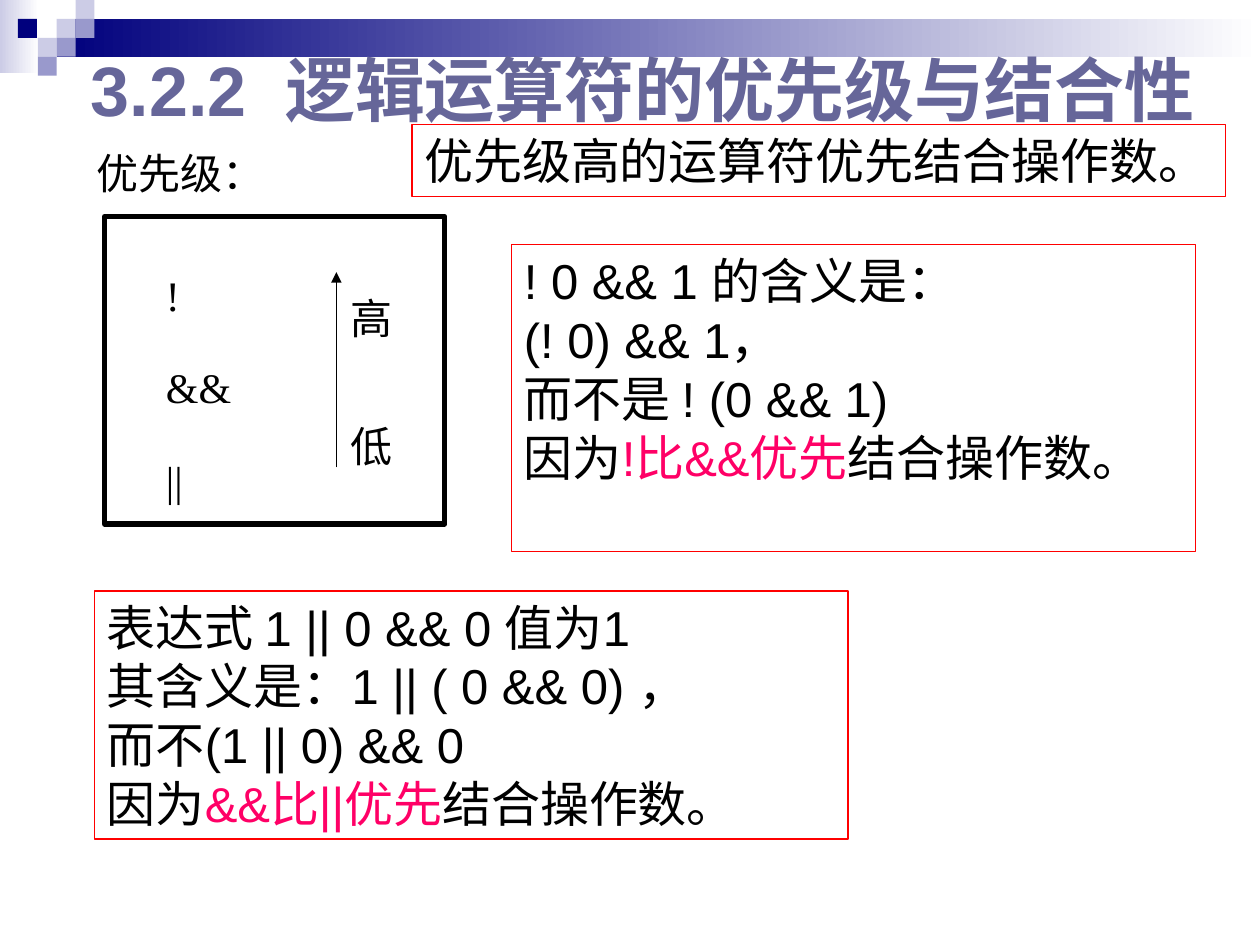
from typing import NamedTuple

from lxml import etree
from pptx import Presentation
from pptx import util as u
from pptx.dml.color import RGBColor
from pptx.enum import shapes, text
from pptx.oxml import ns

NAVY = RGBColor(0x00, 0x00, 0x7D)
LILAC = RGBColor(0xCC, 0xCC, 0xE6)
VIOLET = RGBColor(0x99, 0x99, 0xCC)
TITLE_COLOR = RGBColor(0x66, 0x66, 0x99)
WHITE = RGBColor(0xFF, 0xFF, 0xFF)
BLACK = RGBColor(0x00, 0x00, 0x00)
RED = RGBColor(0xFF, 0x00, 0x00)
PINK = RGBColor(0xFF, 0x00, 0x66)

UNIT = 10.8  # side of a corner square, in points


class Area(NamedTuple):
    left: float
    top: float
    width: float
    height: float


class Span(NamedTuple):
    words: str
    color: RGBColor = BLACK


class Label(NamedTuple):
    area: Area
    lines: list[str]
    wrap: bool = False
    gap: float = 0


class Callout(NamedTuple):
    area: Area
    lines: list[list[Span]]


BANDS = [
    (Area(0, 0, 22.3, 41.8), LILAC),
    (Area(3 * UNIT, UNIT, 687.6, 2 * UNIT), NAVY),
]

# Left and top in units
SQUARES = [
    (3, 1, LILAC), (4, 0, LILAC), (4, 1, VIOLET), (2, 2, LILAC),
    (0.95, 1, NAVY), (3, 2, VIOLET), (2, 3, VIOLET),
]

LABELS = [
    Label(Area(87.8, 150.5, 64, 138), ["!", "&&", "||"], gap=24),
    Label(Area(193, 163.4, 38.2, 36), ["高"]),
    Label(Area(193, 236.9, 38.2, 36), ["低"]),
    Label(Area(48.2, 80.6, 123.8, 36), ["优先级："], wrap=True),
]

CALLOUTS = [
    Callout(Area(235.4, 71.3, 465.1, 41), [[Span("优先级高的运算符优先结合操作数。")]]),
    Callout(Area(292.3, 139.7, 391, 175.7), [
        [Span("! 0 && 1 的含义是：")],
        [Span("(! 0) && 1，")],
        [Span("而不是 ! (0 && 1)")],
        [Span("因为"), Span("!比&&优先", PINK), Span("结合操作数。")],
    ]),
    Callout(Area(54, 337.7, 430.6, 141.8), [
        [Span("表达式 1 || 0 && 0 值为1")],
        [Span("其含义是：1 || ( 0 && 0) ，")],
        [Span("而不(1 || 0) && 0")],
        [Span("因为"), Span("&&比||优先", PINK), Span("结合操作数。")],
    ]),
]


def points(area: Area) -> list[u.Pt]:
    return [u.Pt(value) for value in area]


def apply_format(target, values: dict) -> None:
    for name, value in values.items():
        setattr(target, name, value)


def add_span(para, span: Span, size: float, font: str, bold: bool = False):
    run = para.add_run()
    run.text = span.words
    apply_format(run.font, {"size": u.Pt(size), "name": font, "bold": bold})
    run.font.color.rgb = span.color
    return run


def write_lines(frame, lines: list[list[Span]], size: float, font: str,
                gap: float = 0) -> None:
    for index, spans in enumerate(lines):
        para = frame.add_paragraph() if index else frame.paragraphs[0]
        para.alignment = text.PP_ALIGN.LEFT
        para.space_before = u.Pt(gap if index else 0)
        for span in spans:
            add_span(para, span, size, font)


def add_box(page, area: Area):
    box = page.shapes.add_shape(shapes.MSO_SHAPE.RECTANGLE, *points(area))
    box.shadow.inherit = False
    return box


def add_square(page, area: Area, color: RGBColor) -> None:
    box = add_box(page, area)
    box.line.fill.background()
    box.fill.solid()
    box.fill.fore_color.rgb = color


def add_band(page, area: Area, color: RGBColor) -> None:
    box = add_box(page, area)
    box.line.fill.background()
    box.fill.gradient()
    box.fill.gradient_angle = 0
    for stop, shade in zip(box.fill.gradient_stops, (color, WHITE)):
        stop.color.rgb = shade


def add_outline(page, area: Area, color: RGBColor, weight: float):
    box = add_box(page, area)
    box.fill.background()
    box.line.color.rgb = color
    box.line.width = u.Pt(weight)
    return box


def add_label(page, label: Label) -> None:
    frame = page.shapes.add_textbox(*points(label.area)).text_frame
    frame.word_wrap = label.wrap
    lines = [[Span(words)] for words in label.lines]
    write_lines(frame, lines, 24, "Times New Roman", label.gap)


def add_callout(page, callout: Callout) -> None:
    frame = add_outline(page, callout.area, RED, 0.75).text_frame
    apply_format(frame, {"word_wrap": True,
                         "vertical_anchor": text.MSO_ANCHOR.TOP})
    write_lines(frame, callout.lines, 28, "Arial")


def add_arrow(page, left: float, start: float, end: float) -> None:
    arrow = page.shapes.add_connector(
        shapes.MSO_CONNECTOR.STRAIGHT, *points((left, start, left, end)))
    arrow.line.color.rgb = BLACK
    arrow.line.width = u.Pt(0.75)
    etree.SubElement(arrow.line._get_or_add_ln(), ns.qn("a:tailEnd"),
                     type="triangle")
    etree.SubElement(arrow.element.spPr, ns.qn("a:effectLst"))


def format_title(page) -> None:
    title = page.shapes.title
    title.element.getparent().append(title.element)  # in front of the bands
    area = points(Area(14.4, 5.8, 705.6, 90))
    apply_format(title, dict(zip(("left", "top", "width", "height"), area)))
    apply_format(title.text_frame, {
        "word_wrap": True, "auto_size": text.MSO_AUTO_SIZE.NONE,
        "vertical_anchor": text.MSO_ANCHOR.MIDDLE})
    para = title.text_frame.paragraphs[0]
    para.alignment = text.PP_ALIGN.CENTER
    number, space, name = [
        add_span(para, Span(words, TITLE_COLOR), 40, "Arial", True)
        for words in ("3.2.2", " ", "逻辑运算符的优先级与结合性")]
    # Letter spacing widens the gap after the section number
    space.font._element.set("spc", "1100")


def main() -> None:
    deck = Presentation()
    deck.slide_width, deck.slide_height = u.Pt(720), u.Pt(540)
    page = deck.slides.add_slide(deck.slide_layouts[5])

    # Corner ornament and title
    for area, color in BANDS:
        add_band(page, area, color)
    for column, row, color in SQUARES:
        add_square(page, Area(column * UNIT, row * UNIT, UNIT, UNIT), color)
    format_title(page)

    # Precedence diagram
    add_outline(page, Area(59.8, 123.8, 194.4, 175.7), BLACK, 3)
    for label in LABELS:
        add_label(page, label)
    add_arrow(page, 192.2, 267.1, 155.5)

    # Explanations
    for callout in CALLOUTS:
        add_callout(page, callout)

    deck.save("out.pptx")


if __name__ == "__main__":
    main()
